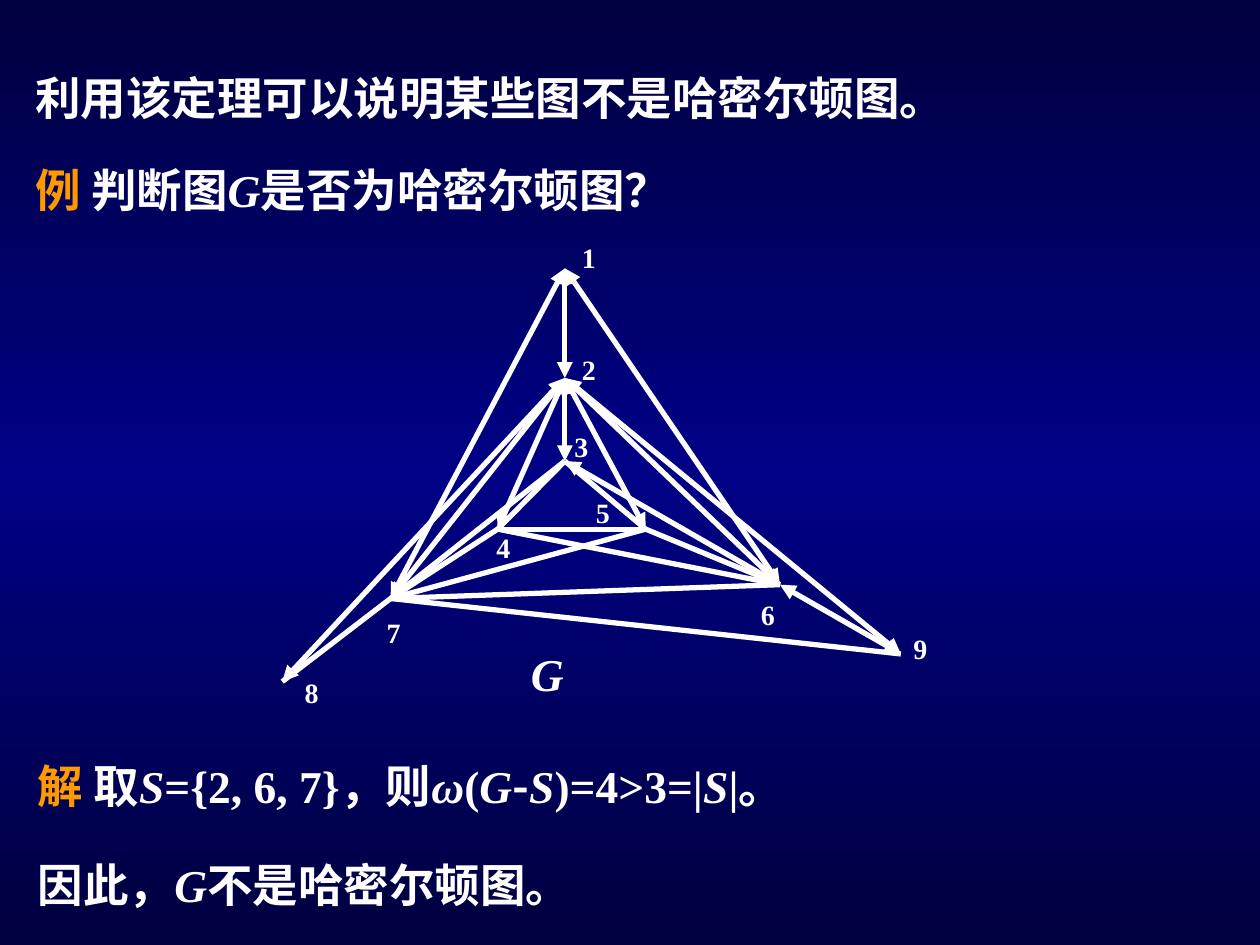
from copy import deepcopy
from typing import NamedTuple

from pptx import Presentation
from pptx.dml.color import RGBColor
from pptx.enum.shapes import MSO_CONNECTOR
from pptx.enum.text import MSO_AUTO_SIZE, PP_ALIGN
from pptx.oxml.ns import qn
from pptx.slide import Slide
from pptx.util import Pt
from lxml.etree import SubElement

WHITE = RGBColor(0xFF, 0xFF, 0xFF)
ORANGE = RGBColor(0xFF, 0x99, 0x00)
NAVY = RGBColor(0x00, 0x00, 0x3E)
BLUE = RGBColor(0x00, 0x00, 0x86)
SERIF = "Times New Roman"
CJK = "Noto Sans CJK SC"

PLAIN = {"name": SERIF, "bold": True, "italic": False}
ITALIC = PLAIN | {"italic": True}
SANS = PLAIN | {"name": CJK}


class Run(NamedTuple):
    text: str
    style: dict = PLAIN
    color: RGBColor = WHITE


class TextBox(NamedTuple):
    left: float
    top: float
    width: float
    height: float
    runs: list[Run]
    size: float = 26
    line_spacing: float = 1.0
    align: PP_ALIGN = PP_ALIGN.LEFT


class Vertex(NamedTuple):
    x: float
    y: float
    label_left: float
    label_top: float


class Edge(NamedTuple):
    start: int
    end: int
    arrows: bool = False


STATEMENTS = [
    (13, 30.2, [Run("利用该定理可以说明某些图不是哈密尔顿图。")]),
    (13, 82.8, [Run("例", SANS, ORANGE), Run(" 判断图", SANS), Run("G", ITALIC),
                Run("是否为哈密尔顿图？")]),
    (14.4, 423.4, [Run("解 ", SANS, ORANGE), Run("取"), Run("S", ITALIC),
                   Run("={2, 6, 7}，则"), Run("ω", ITALIC), Run("("),
                   Run("G", ITALIC), Run("-", SANS), Run("S", ITALIC),
                   Run(")=4>3=|"), Run("S", ITALIC), Run("|。")]),
    (14.4, 480.2, [Run("因此，"), Run("G", ITALIC), Run("不是哈密尔顿图。")]),
]

VERTICES = {
    1: Vertex(322.8, 153.4, 325.4, 133.9),
    2: Vertex(322.8, 216, 325.4, 198),
    3: Vertex(322.8, 263.5, 321.1, 241.9),
    4: Vertex(284.4, 302.4, 276.5, 299.5),
    5: Vertex(369, 302.4, 333.4, 279.4),
    6: Vertex(445.7, 334.1, 427.7, 337.7),
    7: Vertex(223.2, 342, 213.8, 348.5),
    8: Vertex(161.3, 389.5, 167, 382.3),
    9: Vertex(514.8, 373.7, 514.8, 357.1),
}

EDGES = [
    Edge(3, 4), Edge(2, 7, True), Edge(4, 5), Edge(7, 8), Edge(2, 8, True),
    Edge(3, 5), Edge(2, 3, True), Edge(4, 7), Edge(1, 7, True),
    Edge(2, 4, True), Edge(1, 2, True), Edge(5, 7), Edge(3, 7),
    Edge(1, 6, True), Edge(7, 6), Edge(2, 5, True), Edge(5, 6),
    Edge(6, 9, True), Edge(7, 9), Edge(4, 6), Edge(3, 6, True),
    Edge(2, 6, True), Edge(2, 9, True),
]


def set_background(s: Slide) -> None:
    """Fill the slide with a vertical navy-blue-navy gradient."""
    fill = s.background.fill
    fill.gradient()
    fill.gradient_angle = 270
    stops = s._element.find(".//" + qn("a:gsLst"))
    stops.append(deepcopy(stops[-1]))
    for stop, position, color in zip(fill.gradient_stops, (0, 0.5, 1), (NAVY, BLUE, NAVY)):
        stop.position = position
        stop.color.rgb = color


def add_text(s: Slide, box: TextBox) -> None:
    sp = s.shapes.add_textbox(Pt(box.left), Pt(box.top), Pt(box.width), Pt(box.height))
    tf = sp.text_frame
    tf.word_wrap = True
    tf.auto_size = MSO_AUTO_SIZE.SHAPE_TO_FIT_TEXT
    p = tf.paragraphs[0]
    p.alignment = box.align
    p.line_spacing = box.line_spacing
    for run in box.runs:
        r = p.add_run()
        r.text = run.text
        for name, value in run.style.items():
            setattr(r.font, name, value)
        r.font.size = Pt(box.size)
        r.font.color.rgb = run.color
        SubElement(r.font._element, qn("a:ea"), typeface=CJK)


def add_edge(s: Slide, edge: Edge) -> None:
    start, end = VERTICES[edge.start], VERTICES[edge.end]
    line = s.shapes.add_connector(
        MSO_CONNECTOR.STRAIGHT, Pt(start.x), Pt(start.y), Pt(end.x), Pt(end.y))
    line.line.color.rgb = WHITE
    line.line.width = Pt(3)
    if edge.arrows:
        for tag in ("a:headEnd", "a:tailEnd"):
            SubElement(line.line._get_or_add_ln(), qn(tag), type="triangle")
    SubElement(line._element.spPr, qn("a:effectLst"))


def main() -> None:
    prs = Presentation()
    prs.slide_width, prs.slide_height = Pt(720), Pt(540)
    s = prs.slides.add_slide(prs.slide_layouts[6])
    set_background(s)
    for left, top, runs in STATEMENTS:
        add_text(s, TextBox(left, top, 692, 44.6, runs, line_spacing=1.2))
    for number, v in VERTICES.items():
        add_text(s, TextBox(v.label_left, v.label_top, 32.4, 26.6, [Run(str(number))], 16))
    for edge in EDGES:
        add_edge(s, edge)
    add_text(s, TextBox(281.5, 365.8, 62.6, 38.9, [Run("G", ITALIC)], align=PP_ALIGN.CENTER))
    prs.save("out.pptx")


if __name__ == "__main__":
    main()
